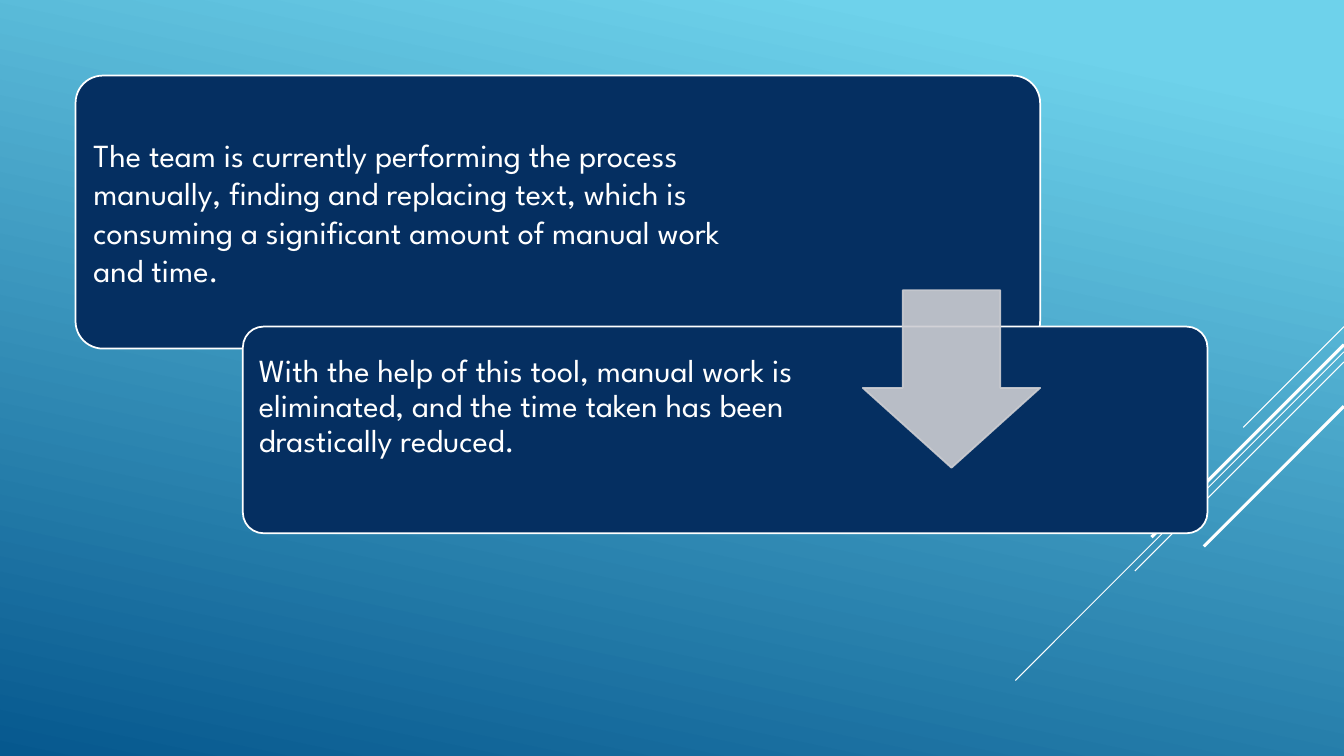
import pptx
import pptx.util
import pptx.dml.color
import pptx.enum.shapes
import pptx.enum.text
import lxml.etree

Pt = pptx.util.Pt
SHAPES = pptx.enum.shapes.MSO_SHAPE
WHITE, NAVY, GREY = "FFFFFF", "052F61", "CCCDD2"
DRAWING = "http://schemas.openxmlformats.org/drawingml/2006/main"

gradient_stops = [(0.1, "6ED2EB"), (1, "06588E")]
accent_lines = [
    (233.3, 72, 0.75),
    (251.3, 234.7, 0.75),
    (258.5, 149.4, 0.75),
    (246.2, 137.5, 2.25),
    (290.2, 100.1, 2.25),
]
cards = [
    {
        "text": "The team is currently performing the process manually, finding and "
                "replacing text, which is consuming a significant amount of manual work and time.",
        "bounds": (54, 54, 689, 195),
        "line_spacing": 1.0,
        "margins": {"margin_left": 7.2, "margin_right": 196.6, "margin_top": 7.2, "margin_bottom": 7.2},
    },
    {
        "text": "With the help of this tool, manual work is eliminated, and the time taken "
                "has been drastically reduced.",
        "bounds": (173.5, 233.3, 689, 147.6),
        "line_spacing": 0.9,
        "margins": {"margin_left": 7.2, "margin_right": 255.6, "margin_top": 7.2, "margin_bottom": 40},
    },
]
arrow_bounds = (616.3, 207.4, 126.7, 126.7)
font_format = {"name": "League Spartan", "size": Pt(23)}


def color(value):
    return pptx.dml.color.RGBColor.from_string(value)


def apply_format(target, values):
    for name, value in values.items():
        setattr(target, name, value)


def style_line(line, value, width):
    line.color.rgb = color(value)
    line.width = Pt(width)


def add_block(kind, bounds, adjustments, fill, outline):
    shape = slide.shapes.add_shape(kind, *map(Pt, bounds))
    shape.shadow.inherit = False
    for index, value in enumerate(adjustments):
        shape.adjustments[index] = value
    shape.fill.solid()
    shape.fill.fore_color.rgb = color(fill)
    style_line(shape.line, outline, 1.25)
    return shape


presentation = pptx.Presentation()
apply_format(presentation, {"slide_width": Pt(960), "slide_height": Pt(540)})
slide = presentation.slides.add_slide(presentation.slide_layouts[6])

background = slide.background.fill
background.gradient()
background.gradient_angle = 360 - 102
for stop, (position, value) in zip(background.gradient_stops, gradient_stops):
    stop.position = position
    stop.color.rgb = color(value)

for top, span, width in accent_lines:
    connector = slide.shapes.add_connector(
        pptx.enum.shapes.MSO_CONNECTOR.STRAIGHT, Pt(960), Pt(top), Pt(960 - span), Pt(top + span))
    style_line(connector.line, WHITE, width)
    lxml.etree.SubElement(connector._element.spPr, f"{{{DRAWING}}}effectLst")

for card in cards:
    shape = add_block(SHAPES.ROUNDED_RECTANGLE, card["bounds"], [0.1], NAVY, WHITE)
    frame = shape.text_frame
    apply_format(frame, {"word_wrap": True, "vertical_anchor": pptx.enum.text.MSO_ANCHOR.MIDDLE})
    apply_format(frame, {name: Pt(value) for name, value in card["margins"].items()})
    paragraph = frame.paragraphs[0]
    apply_format(paragraph, {"text": card["text"], "line_spacing": card["line_spacing"],
                             "alignment": pptx.enum.text.PP_ALIGN.LEFT})
    font = paragraph.runs[0].font
    apply_format(font, font_format)
    font.color.rgb = color(WHITE)

arrow = add_block(SHAPES.DOWN_ARROW, arrow_bounds, [0.55, 0.45], GREY, GREY)
for fill_color in arrow._element.spPr.iter(f"{{{DRAWING}}}srgbClr"):
    lxml.etree.SubElement(fill_color, f"{{{DRAWING}}}alpha", val="90000")

presentation.save("out.pptx")
